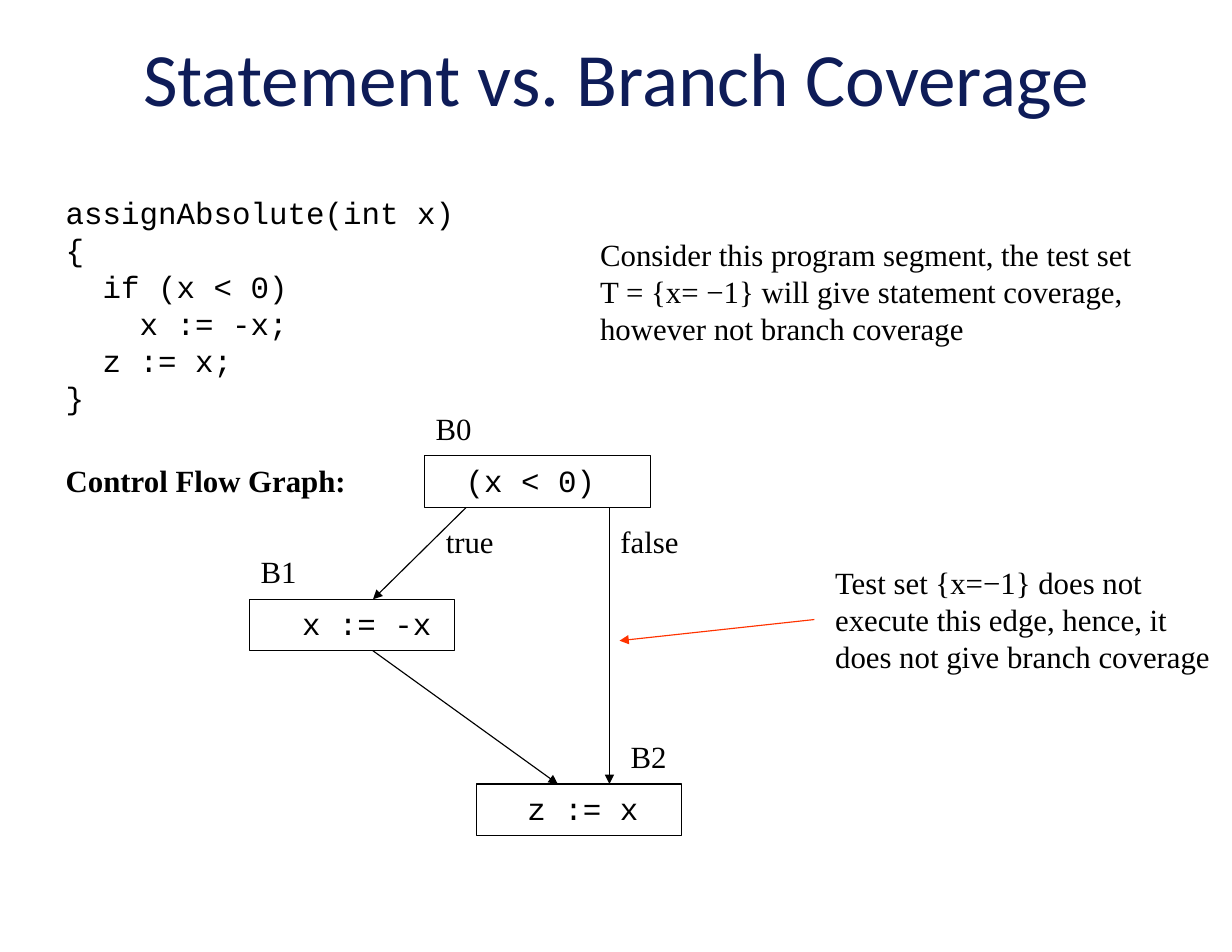
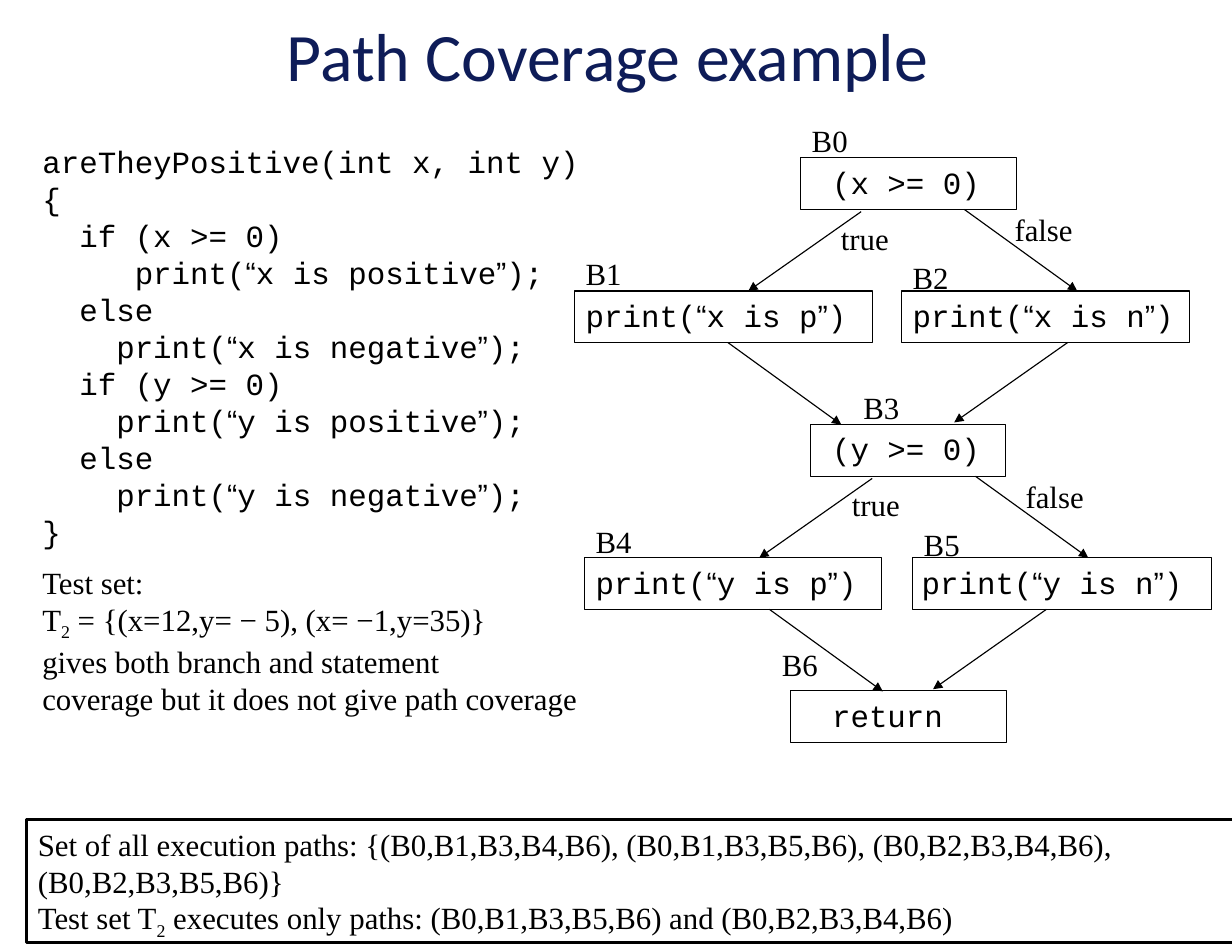
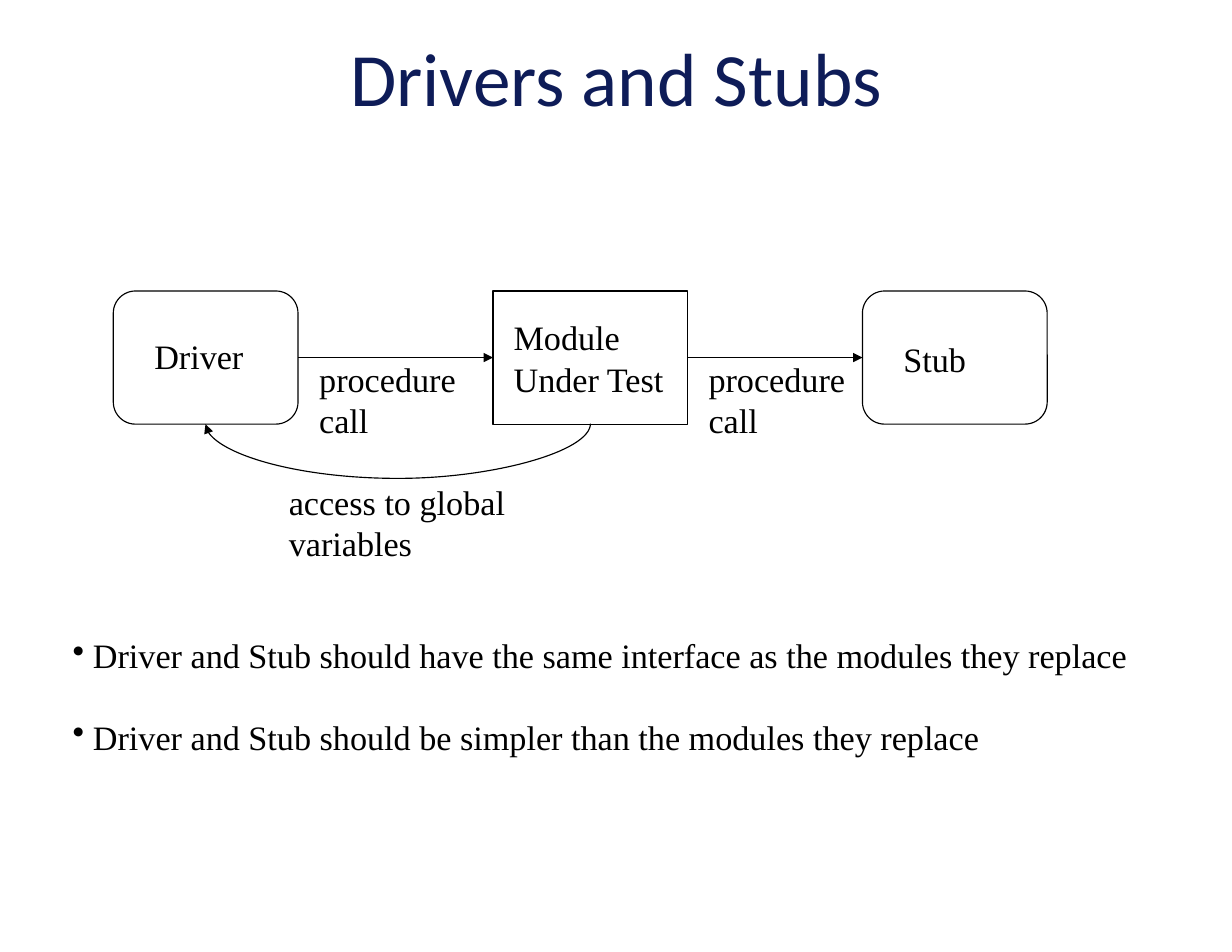
from itertools import groupby

from lxml import etree
from pptx import Presentation, util as u
from pptx.dml.color import RGBColor
from pptx.enum import shapes, text
from pptx.oxml.ns import qn

Cm = u.Cm
rgb = RGBColor.from_string
NAVY, BLACK, WHITE, RED = "0E1C58", "000000", "FFFFFF", "FF3300"
SERIF, MONO, QUOTES, HEAD = "Times New Roman", "Courier New", "Arial", "Calibri"
RECT, ROUND = shapes.MSO_SHAPE.RECTANGLE, shapes.MSO_SHAPE.ROUNDED_RECTANGLE
STRAIGHT, CURVE = shapes.MSO_CONNECTOR.STRAIGHT, shapes.MSO_CONNECTOR.CURVE
LABEL_H, NODE_H = 1.09, 1.17


def add_text(s, x, y, w, h, lines, name=SERIF, size=19.8, color=BLACK, bold=None,
             wrap=False, align=None, anchor=text.MSO_ANCHOR.TOP, frame=None, bullet_gap=None):
    """Quotes in code take the quote font, and ₂ becomes a real subscript."""
    sp = s.shapes.add_textbox(Cm(x), Cm(y), Cm(w), Cm(h))
    if frame:
        sp.fill.solid()
        sp.fill.fore_color.rgb = rgb(WHITE)
        sp.line.color.rgb = rgb(BLACK)
        sp.line.width = u.Pt(frame)
    tf = sp.text_frame
    tf.word_wrap, tf.vertical_anchor = wrap, anchor
    tf.auto_size = (text.MSO_AUTO_SIZE.NONE if anchor == text.MSO_ANCHOR.MIDDLE
                    else text.MSO_AUTO_SIZE.SHAPE_TO_FIT_TEXT)
    for i, line in enumerate(lines.split("\n")):
        p = tf.add_paragraph() if i else tf.paragraphs[0]
        p.alignment = align
        if bullet_gap:
            p.space_before = u.Pt(bullet_gap if i else 0)
            pPr = p._p.get_or_add_pPr()
            pPr.set("marL", str(Cm(0.46)))
            pPr.set("indent", str(-Cm(0.46)))
            etree.SubElement(pPr, qn("a:buChar")).set("char", "•")
        for special, chars in groupby(line, lambda c: c if c in "“”₂" else ""):
            r = p.add_run()
            r.text = "".join(chars).replace("₂", "2")
            font = QUOTES if special and special in "“”" else name
            for key, value in {"name": font, "size": u.Pt(size), "bold": bold}.items():
                setattr(r.font, key, value)
            r.font.color.rgb = rgb(color)
            if special == "₂":
                r._r.get_or_add_rPr().set("baseline", "-25000")


ABSOLUTE_CODE = """assignAbsolute(int x)
{
  if (x < 0)
    x := -x;
  z := x;
}"""
POSITIVE_CODE = """areTheyPositive(int x, int y)
{
  if (x >= 0)
     print(“x is positive”);
  else
    print(“x is negative”);
  if (y >= 0)
    print(“y is positive”);
  else
    print(“y is negative”);
}"""
TITLE_BOX = (1.4, 0.51, 25.15, 2.46)

# Nodes: box x, y, width; code, code x; label, label x, label y
# Texts: x, y, width, height, words, format
# Arrows: from x, y, to x, y, colour, kind
statement = dict(
    title=("Statement vs. Branch Coverage", TITLE_BOX, 48.4),
    nodes=[(9.63, 10.34, 5.13, "(x < 0)", 10.31, "B0", 9.63, 9.17),
           (5.66, 13.59, 4.65, "x := -x", 6.6, "B1", 5.66, 12.42),
           (10.8, 17.78, 4.65, "z := x", 11.71, "B2", 14.05, 16.61)],
    boxes=[],
    texts=[(1.24, 4.27, 13.97, 5.33, ABSOLUTE_CODE, dict(name=MONO, wrap=True)),
           (13.36, 5.21, 12.67, 2.79, "Consider this program segment, the test set\n"
            "T = {x= −1} will give statement coverage,\nhowever not branch coverage", {}),
           (18.69, 12.65, 9.25, 3.63, "Test set {x=−1} does not\n"
            "execute this edge, hence, it\ndoes not give branch coverage", {}),
           (9.86, 11.73, 1.6, LABEL_H, "true", {}),
           (13.82, 11.73, 1.85, LABEL_H, "false", {}),
           (1.24, 10.34, 6.91, LABEL_H, "Control Flow Graph:", dict(bold=True))],
    arrows=[(10.57, 11.51, 8.46, 13.59, BLACK, STRAIGHT),
            (8.46, 14.76, 12.65, 17.78, BLACK, STRAIGHT),
            (13.82, 11.51, 13.82, 17.78, BLACK, STRAIGHT),
            (18.47, 14.05, 14.05, 14.53, RED, STRAIGHT)])

path_cover = dict(
    title=("Path Coverage example ", (2.08, 0.3, 23.75, 1.85), 43.6),
    nodes=[(18.16, 3.58, 4.9, "(x >= 0)", 18.62, "B0", 18.16, 2.64),
           (13.03, 6.6, 6.76, "print(“x is p”)", 13.03, "B1", 13.03, 5.66),
           (20.45, 6.6, 6.53, "print(“x is n”)", 20.45, "B2", 20.45, 5.74),
           (18.39, 9.63, 4.42, "(y >= 0)", 18.62, "B3", 19.33, 8.69),
           (13.26, 12.65, 6.73, "print(“y is p”)", 13.26, "B4", 13.26, 11.73),
           (20.7, 12.65, 6.78, "print(“y is n”)", 20.65, "B5", 20.7, 11.79),
           (17.93, 15.67, 4.9, "return", 18.62, "B6", 17.48, 14.53)],
    boxes=[],
    texts=[(0.71, 3.12, 13.97, 10.41, POSITIVE_CODE, dict(name=MONO, wrap=True)),
           (0.71, 12.65, 13.97, 4.5, "Test set:\nT₂ = {(x=12,y= − 5), (x= −1,y=35)}\n"
            "gives both branch and statement\ncoverage but it does not give path coverage",
            dict(wrap=True)),
           (0.61, 18.59, 27.48, 2.79, "Set of all execution paths: {(B0,B1,B3,B4,B6), "
            "(B0,B1,B3,B5,B6), (B0,B2,B3,B4,B6), (B0,B2,B3,B5,B6)}\n"
            "Test set T₂ executes only paths: (B0,B1,B3,B5,B6) and (B0,B2,B3,B4,B6)",
            dict(wrap=True, frame=2))],
    arrows=[])
# Each decision forks to two prints, which join again below
for dy, fork, left, right in [(0, 0, 0, 0), (6.05, 0.25, 0.94, -0.48)]:
    path_cover["texts"] += [(18.82 + fork, 4.85 + dy, 1.6, LABEL_H, "true", {}),
                            (22.76 + fork, 4.65 + dy, 1.85, LABEL_H, "false", {})]
    for dx, x1, y1, x2, y2 in [(fork, 19.53, 4.8, 16.97, 6.6), (fork, 21.87, 4.75, 24.43, 6.6),
                               (left, 16.51, 7.77, 19.08, 9.63),
                               (right, 24.21, 7.77, 21.64, 9.58)]:
        path_cover["arrows"].append((x1 + dx, y1 + dy, x2 + dx, y2 + dy, BLACK, STRAIGHT))

big = dict(size=22)
drivers = dict(
    title=("Drivers and Stubs", TITLE_BOX, 48.4),
    nodes=[],
    boxes=[(ROUND, 2.57, 6.6, 4.19, 3.02), (RECT, 11.18, 6.6, 4.42, 3.02),
           (ROUND, 19.56, 6.6, 4.19, 3.02)],
    texts=[(3.25, 7.47, 2.57, 1.19, "Driver", big),
           (11.4, 7.06, 3.94, 2.13, "Module\nUnder Test", big),
           (20.24, 7.54, 2.57, 1.19, "Stub", dict(big, wrap=True)),
           (6.99, 8, 3.66, 2.13, "procedure\ncall", big),
           (15.82, 8, 3.66, 2.13, "procedure\ncall", big),
           (6.3, 10.8, 5.46, 2.13, "access to global\nvariables", big),
           (1.4, 14.27, 24.69, 3.07,
            "Driver and Stub should have the same interface as the modules they replace\n"
            "Driver and Stub should be simpler than the modules they replace",
            dict(big, wrap=True, bullet_gap=26))],
    arrows=[(6.76, 8.11, 11.18, 8.11, BLACK, STRAIGHT),
            (15.6, 8.11, 19.56, 8.11, BLACK, STRAIGHT),
            (13.39, 9.62, 4.66, 9.62, BLACK, CURVE)])

prs = Presentation()
prs.slide_width, prs.slide_height = Cm(27.94), Cm(21.59)

for page in (statement, path_cover, drivers):
    s = prs.slides.add_slide(prs.slide_layouts[6])
    title, title_box, size = page["title"]
    add_text(s, *title_box, title, HEAD, size, NAVY, wrap=True,
             align=text.PP_ALIGN.CENTER, anchor=text.MSO_ANCHOR.MIDDLE)

    boxes = []
    for kind, *box in page["boxes"] + [(RECT, *n[:3], NODE_H) for n in page["nodes"]]:
        sp = s.shapes.add_shape(kind, *map(Cm, box))
        sp.shadow.inherit = False
        sp.fill.background()
        sp.line.color.rgb = rgb(BLACK)
        sp.line.width = u.Pt(0.75)
        boxes.append(sp)

    for _, y, _, code, code_x, label, label_x, label_y in page["nodes"]:
        add_text(s, code_x, y, 0.41 * len(code) + 0.58, LABEL_H, code, MONO)
        add_text(s, label_x, label_y, 1.35, LABEL_H, label)
    for *place, fmt in page["texts"]:
        add_text(s, *place, **fmt)

    arrows = []
    for *ends, color, kind in page["arrows"]:
        c = s.shapes.add_connector(kind, *map(Cm, ends))
        c.line.color.rgb = rgb(color)
        c.line.width = u.Pt(0.75)
        etree.SubElement(c.line._get_or_add_ln(), qn("a:tailEnd")).set("type", "triangle")
        etree.SubElement(c._element.spPr, qn("a:effectLst"))
        arrows.append(c)

# Join driver, module and stub on the last slide
for i, c in enumerate(arrows[:2]):
    c.begin_connect(boxes[i], 3)
    c.end_connect(boxes[i + 1], 1)

# The return curve is a thin connector turned by 90°, bulging far beyond its width
curve = arrows[2]
xfrm = curve._element.spPr.find(qn("a:xfrm"))
xfrm.attrib.clear()
xfrm.set("rot", "5400000")
for key, value in {"left": 9.02, "top": 5.25, "width": 0.01, "height": 8.73}.items():
    setattr(curve, key, Cm(value))
guide = etree.SubElement(curve._element.spPr.find(qn("a:prstGeom")).find(qn("a:avLst")), qn("a:gd"))
guide.set("name", "adj1")
guide.set("fmla", "val 12400000")

prs.save("out.pptx")
